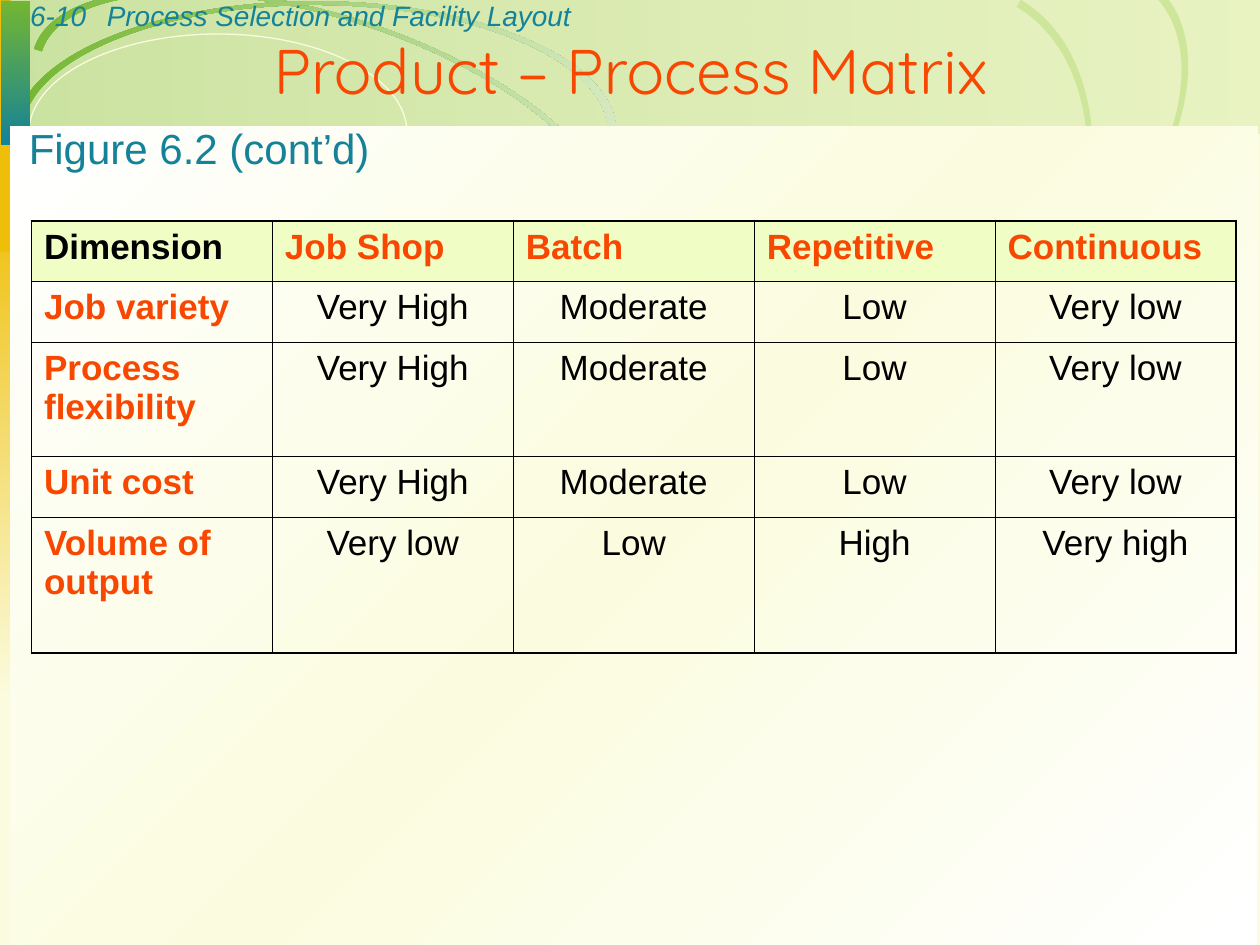
from lxml.etree import SubElement
from pptx import Presentation
from pptx.dml.color import RGBColor as RGB
from pptx.enum.shapes import MSO_SHAPE as SHAPE
from pptx.enum.text import MSO_ANCHOR as ANCHOR, PP_ALIGN as ALIGN
from pptx.oxml.ns import qn
from pptx.util import Inches, Pt

UNIT = Inches(0.1)  # the slide is a grid of 100 columns by 75 rows
COLS, ROWS = 100, 75
KAPPA = 0.55  # control length of a quarter ellipse, as a share of its radius
COLORS = {
    "cream": "FBFCDF", "white": "FFFFFF", "black": "000000", "teal": "148298",
    "orange": "F84700", "gold": "EFBE09", "green": "74B632", "lime": "BCDD7B",
    "pale": "D5E9C1", "arc": "CDE69A", "head": "F0FDC5", "olive": "CEDE73",
}
MATRIX = [
    ["Dimension", "Job Shop", "Batch", "Repetitive", "Continuous"],
    ["Job variety", "Very High", "Moderate", "Low", "Very low"],
    ["Process flexibility", "Very High", "Moderate", "Low", "Very low"],
    ["Unit cost", "Very High", "Moderate", "Low", "Very low"],
    ["Volume of output", "Very low", "Low", "High", "Very high"],
]
ROW_HEIGHTS = [4.8, 4.8, 9.1, 4.8, 10.8]


def rgb(name):
    return RGB.from_string(COLORS[name])


def units(*lengths):
    return [round(n * UNIT) for n in lengths]


def paint(s, stops, angle=0):
    """Fill with one colour name, or a gradient of (percent, name, opacity) stops."""
    s.shadow.inherit = False
    s.line.fill.background()
    if isinstance(stops, str):
        s.fill.solid()
        s.fill.fore_color.rgb = rgb(stops)
        return
    s.fill.gradient()
    s.fill.gradient_angle = -angle % 360
    gs_list = s._element.spPr.find(qn("a:gradFill")).find(qn("a:gsLst"))
    for gs in list(gs_list):
        gs_list.remove(gs)
    for percent, name, opacity in stops:
        gs = SubElement(gs_list, qn("a:gs"), pos=str(percent * 1000))
        color = SubElement(gs, qn("a:srgbClr"), val=COLORS[name])
        if opacity < 100:
            SubElement(color, qn("a:alpha"), val=str(opacity * 1000))


def block(slide, box, stops, angle=0):
    s = slide.shapes.add_shape(SHAPE.RECTANGLE, *units(*box))
    paint(s, stops, angle)


def swoosh(slide, box, turn, stops, side=-1, angle=0):
    """Half of an elliptical ring inside the box: side -1 is the upper half, 1 the lower."""
    x, y, w, h = box
    fb = slide.shapes.build_freeform(*units(x, y))
    fb.add_line_segments([units(x + w, y), units(x + w, y + h), units(x, y + h)])
    s = fb.convert_to_shape()
    path = next(s._element.iter(qn("a:path")))
    for step in list(path):
        path.remove(step)

    def draw(kind, *points):
        step = SubElement(path, qn("a:" + kind))
        for px, py in points:
            ex, ey = units(w / 2 + px, h / 2 + side * py)
            SubElement(step, qn("a:pt"), x=str(ex), y=str(ey))

    def half(rx, ry):
        """Two quarter curves, from the end at -rx over the crest to the end at rx."""
        kx, ky = KAPPA * rx, KAPPA * ry
        draw("cubicBezTo", (-rx, ky), (-kx, ry), (0, ry))
        draw("cubicBezTo", (kx, ry), (rx, ky), (rx, 0))

    rx, ry = w / 2, h / 2
    inner_x, inner_y = rx - 0.65, ry - 0.3
    draw("moveTo", (-rx, 0))
    half(rx, ry)
    draw("lnTo", (inner_x, 0))
    half(-inner_x, inner_y)
    draw("lnTo", (-rx, 0))
    SubElement(path, qn("a:close"))
    s.rotation = turn
    paint(s, stops, angle)


def write(tf, text, size, color, font="Arial", align=None, before=0, bold=False, italic=False):
    p = tf.paragraphs[0]
    p.alignment = align
    p.space_before = Pt(before)
    r = p.add_run()
    r.text = text
    f = r.font
    f.size, f.name, f.bold, f.italic = Pt(size), font, bold, italic
    f.color.rgb = rgb(color)


def label(slide, box, text, size, color, anchor=ANCHOR.TOP, **style):
    tf = slide.shapes.add_textbox(*units(*box)).text_frame
    tf.word_wrap = True
    tf.vertical_anchor = anchor
    write(tf, text, size, color, **style)


def rainbow_rule(slide, box):
    """Line of gradient strips, each starting in the colour the last one ended in."""
    x, y, w, h = box
    names = ["teal", "olive", "gold", "orange", "cream"]
    step = w / 5
    for i, (start, end) in enumerate(zip(names, names[1:])):
        length = 2 * step if i == 3 else step
        block(slide, (x + i * step, y, length + 0.15, h), [(0, start, 100), (100, end, 100)])


def banner(slide, box):
    x, y, w, h = box
    fade = [(0, "green", 100), (100, "pale", 100)]
    block(slide, (x + 0.1, y, w, h), [(0, "green", 36), (100, "lime", 29)])
    swoosh(slide, (x + 1.6, y + 1.1, 47.7, 19.9), 17.5, fade, angle=342)
    ring = slide.shapes.add_shape(SHAPE.OVAL, *units(x + 2.3, y + 2.7, 30, 15.6))
    ring.shadow.inherit = False
    ring.fill.background()
    ring.line.color.rgb = rgb("cream")
    ring.line.width = Pt(0.75)
    swoosh(slide, (x + 50.7, y + 2.4, 47.7, 25.9), 318.2, "arc", side=1)
    swoosh(slide, (x + 45, y + 5.2, 47.7, 30.6), 300.7, "arc", side=1)
    swoosh(slide, (x + 1.2, y + 0.1, 47.7, 20.7), 0, fade)
    block(slide, (x + 0.1, y + 0.1, 2.3, h + 0.8),
          [(0, "green", 100), (100, "teal", 100)], 90)
    rainbow_rule(slide, (x + 0.8, y + h, 91.2, 0.8))


def side_strip(slide, box):
    x, y, w, h = box
    block(slide, (x, y + 0.28 * h, 2.2, 0.72 * h), [(0, "gold", 100), (100, "cream", 100)], 90)
    block(slide, (x, y, w, 0.36 * h), "gold")


def panel(slide, box):
    block(slide, box, [(0, "white", 100), (50, "cream", 100), (100, "white", 100)], 45)


def headings(slide, box):
    x, y, w, _ = box
    style = dict(before=10, italic=True)
    label(slide, (x + 0.8, y - 0.6, 8.3, 3.7), " 6-10", 16, "teal", **style)
    label(slide, (x + 7.5, y - 0.6, 85, 3.7),
          "Process Selection and Facility Layout", 16, "teal", **style)


def matrix_titles(slide, box):
    x, y, w, _ = box
    label(slide, (x + 1.3, y + 9.25, 31.9, 5), "Figure 6.2 (cont’d)", 24, "teal")
    label(slide, (x + 0.1, y + 3.55, w - 0.1, 3.9), "Product – Process Matrix", 36, "orange",
          ANCHOR.MIDDLE, font="Quicksand", align=ALIGN.CENTER)


def border(cell, outer_sides):
    tc_pr = cell._tc.get_or_add_tcPr()
    for side in "LRTB":
        width = Pt(1.08 if side in outer_sides else 0.45)
        ln = SubElement(tc_pr, qn("a:ln" + side), w=str(width))
        fill = SubElement(ln, qn("a:solidFill"))
        SubElement(fill, qn("a:srgbClr"), val=COLORS["black"])


def matrix_table(slide, box):
    n_rows, n_cols = len(MATRIX), len(MATRIX[0])
    table = slide.shapes.add_table(n_rows, n_cols, *units(*box)).table
    table.first_row = table.horz_banding = False
    for col in table.columns:
        col.width = round(box[2] / n_cols * UNIT)
    for i, (height, words) in enumerate(zip(ROW_HEIGHTS, MATRIX)):
        table.rows[i].height = round(height / sum(ROW_HEIGHTS) * box[3] * UNIT)
        for j, word in enumerate(words):
            cell = table.cell(i, j)
            edges = {"T": i == 0, "B": i == n_rows - 1, "L": j == 0, "R": j == n_cols - 1}
            border(cell, [side for side, outer in edges.items() if outer])
            if i == 0:
                cell.fill.solid()
                cell.fill.fore_color.rgb = rgb("head")
            else:
                cell.fill.background()
            heading = i == 0 or j == 0
            color = "orange" if heading and i + j > 0 else "black"
            write(cell.text_frame, word, 20, color, before=5, bold=heading,
                  align=ALIGN.LEFT if heading else ALIGN.CENTER)


def main():
    prs = Presentation()
    prs.slide_width, prs.slide_height = units(COLS, ROWS)
    slide = prs.slides.add_slide(prs.slide_layouts[6])
    slide.background.fill.solid()
    slide.background.fill.fore_color.rgb = rgb("cream")
    side_strip(slide, (0, 0, 0.85, 55.6))
    banner(slide, (0, 0, COLS - 0.1, 10.6))
    panel(slide, (0.8, 10.03, 99, 64.97))
    headings(slide, (0, 0, COLS, 15))
    matrix_table(slide, (2.5, 17.55, 95.6, 34.3))
    matrix_titles(slide, (0, 0, COLS, 15))
    prs.save("out.pptx")


if __name__ == "__main__":
    main()
